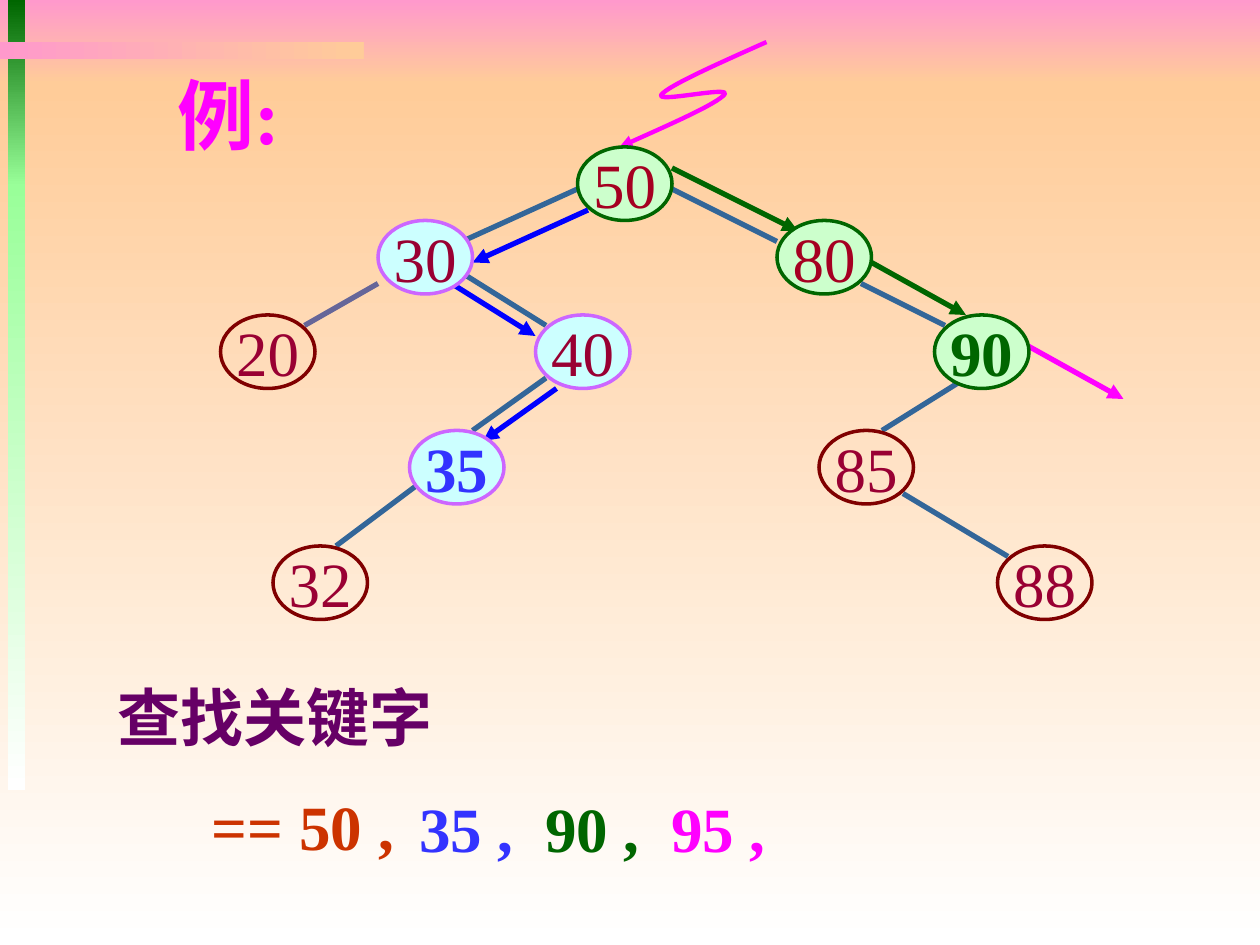
from lxml import etree
from pptx import Presentation
from pptx.dml.color import RGBColor
from pptx.enum.shapes import MSO_CONNECTOR, MSO_SHAPE
from pptx.enum.text import MSO_ANCHOR, MSO_AUTO_SIZE, PP_ALIGN
from pptx.oxml.ns import qn
from pptx.util import Emu, Pt

PX = 9525
STRAIGHT = MSO_CONNECTOR.STRAIGHT
OVAL, RECT = MSO_SHAPE.OVAL, MSO_SHAPE.RECTANGLE
MIDDLE, CENTER = MSO_ANCHOR.MIDDLE, PP_ALIGN.CENTER
FIT_SHAPE = MSO_AUTO_SIZE.SHAPE_TO_FIT_TEXT

COLORS = {
    "pink": "FF99CC", "peach": "FFCC99", "white": "FFFFFF", "green": "006600",
    "light green": "99FF99", "pale green": "CCFFCC", "pale cyan": "CCFFFF",
    "maroon": "800000", "wine": "990033", "crimson": "A50021", "violet": "CC66FF",
    "steel": "336699", "slate": "666699", "blue": "0000FF", "soft blue": "3333FF",
    "magenta": "FF00FF", "purple": "660066", "rust": "CC3300",
}

NODE_STYLES = {
    "plain": (None, "maroon", "wine"),
    "left path": ("pale cyan", "violet", "wine"),
    "right path": ("pale green", "green", "crimson"),
}
NODES = [
    ("20", 0, 128, "plain"), ("85", 456, 216, "plain"),
    ("88", 592, 304, "plain"), ("32", 40, 304, "plain"),
    ("30", 120, 56, "left path"), ("40", 240, 128, "left path"),
    ("35", 144, 216, "left path"), ("50", 272, 0, "right path"),
    ("80", 424, 56, "right path"), ("90", 544, 128, "right path"),
]
FOUND_COLORS = {"35": "soft blue", "90": "green"}
EDGES = [
    (272, 32, 184, 72, "steel"), (120, 104, 64, 136, "slate"),
    (344, 32, 424, 72, "steel"), (184, 96, 248, 136, "steel"),
    (248, 176, 192, 216, "steel"), (488, 104, 552, 136, "steel"),
    (568, 176, 504, 216, "steel"), (520, 264, 600, 312, "steel"),
    (152, 256, 88, 304, "steel"),
]
SEARCH_STEPS = [
    (280, 48, 192, 88, "blue"), (176, 104, 240, 144, "blue"),
    (256, 184, 200, 224, "blue"), (344, 16, 440, 64, "green"),
    (496, 88, 568, 128, "green"), (616, 152, 688, 192, "magenta"),
]
SQUIGGLE = [
    (112, 0), (74, 17), (38, 33), (32, 40), (26, 47),
    (86, 33), (80, 40), (74, 47), (38, 63), (0, 80),
]


def px(*lengths):
    """Turn px lengths into EMU."""
    return [Emu(length * PX) for length in lengths]


def rgb(color):
    """Look up a named colour."""
    return RGBColor.from_string(COLORS[color])


def assign(target, values):
    """Set every attribute named in a dict."""
    for name, value in values.items():
        setattr(target, name, value)


def style_line(line, color, width, arrow=False):
    """Colour a line and optionally give its end an arrowhead."""
    line.color.rgb = rgb(color)
    line.width = Pt(width)
    if arrow:
        etree.SubElement(line._get_or_add_ln(), qn("a:tailEnd"), type="triangle")


def write(frame, wording, color, size=36, bold=True, align=None, **layout):
    """Fill a text frame with one formatted line."""
    assign(frame, {"word_wrap": False, **layout})
    paragraph = frame.paragraphs[0]
    paragraph.alignment = align
    run = paragraph.add_run()
    run.text = wording
    assign(run.font, {"name": "Times New Roman", "size": Pt(size), "bold": bold})
    run.font.color.rgb = rgb(color)


def add_band(slide, box, start, end, angle=270):
    """Place a rectangle with a two-colour gradient."""
    band = slide.shapes.add_shape(RECT, *px(*box))
    band.shadow.inherit = False
    band.line.fill.background()
    band.fill.gradient()
    band.fill.gradient_angle = angle
    for stop, color, position in zip(band.fill.gradient_stops, (start, end), (0, 1)):
        stop.color.rgb = rgb(color)
        stop.position = position


def add_backdrop(slide, left, top, width, height):
    """Place the gradient background and its corner bars."""
    add_band(slide, (left, top, width, 64), "pink", "peach")
    add_band(slide, (left, top + 64, width, height - 64), "peach", "white")
    add_band(slide, (left + 6, top, 13, 142), "green", "light green")
    add_band(slide, (left + 6, top + 140, 13, 462), "light green", "white")
    add_band(slide, (left, top + 32, 277, 13), "pink", "peach", 0)


def add_link(slide, left, top, link, arrow=False):
    """Draw one tree edge or search step."""
    x1, y1, x2, y2, color = link
    connector = slide.shapes.add_connector(
        STRAIGHT, *px(left + x1, top + y1, left + x2, top + y2))
    style_line(connector.line, color, 3, arrow)
    etree.SubElement(connector._element.spPr, qn("a:effectLst"))


def add_node(slide, left, top, key, style):
    """Draw one key of the search tree."""
    fill, outline, ink = NODE_STYLES[style]
    node = slide.shapes.add_shape(OVAL, *px(left, top, 72, 56))
    node.shadow.inherit = False
    if fill:
        node.fill.solid()
        node.fill.fore_color.rgb = rgb(fill)
    else:
        node.fill.background()
    style_line(node.line, outline, 2)
    write(node.text_frame, key, FOUND_COLORS.get(key, ink), bold=key in FOUND_COLORS,
          align=CENTER, vertical_anchor=MIDDLE)


def add_tree(slide, left, top):
    """Draw the binary search tree with its search paths."""
    for edge in EDGES:
        add_link(slide, left, top, edge)
    for step in SEARCH_STEPS:
        add_link(slide, left, top, step, arrow=True)
    for key, x, y, style in NODES:
        add_node(slide, left + x, top + y, key, style)


def add_root_pointer(slide, left, top):
    """Draw the curved arrow that leads to the root."""
    start, *bends = [px(left + x, top + y) for x, y in SQUIGGLE]
    builder = slide.shapes.build_freeform(*start)
    builder.add_line_segments(bends, close=False)
    pointer = builder.convert_to_shape()
    pointer.shadow.inherit = False
    pointer.fill.background()
    style_line(pointer.line, "magenta", 2.5, arrow=True)
    outline = pointer._element.spPr.find(".//" + qn("a:path"))
    segments = iter(outline.findall(qn("a:lnTo")))
    for triple in zip(segments, segments, segments):
        curve = etree.SubElement(outline, qn("a:cubicBezTo"))
        for segment in triple:
            curve.append(segment[0])
            outline.remove(segment)


def add_caption(slide, box, wording, color, size=36):
    """Place one bold caption."""
    caption = slide.shapes.add_textbox(*px(*box))
    write(caption.text_frame, wording, color, size, auto_size=FIT_SHAPE)


def add_search_keys(slide, left, top):
    """Place the heading and the row of searched keys."""
    add_caption(slide, (left, top, 261, 67), "查找关键字", "purple")
    add_caption(slide, (left + 72, top + 83, 158, 67), "== 50 ,", "rust")
    later_keys = [("35 ,", "soft blue"), ("90 ,", "green"), ("95 ,", "magenta")]
    for index, (key, color) in enumerate(later_keys):
        add_caption(slide, (left + 230 + 96 * index, top + 85, 91, 67), key, color)


def main():
    """Build and save the slide."""
    deck = Presentation()
    deck.slide_width, deck.slide_height = px(960, 720)
    slide = deck.slides.add_slide(deck.slide_layouts[6])
    add_backdrop(slide, 0, 0, 960, 720)
    add_caption(slide, (126, 47, 99, 81), "例:", "magenta", 44)
    add_root_pointer(slide, 472, 32)
    add_tree(slide, 168, 112)
    add_search_keys(slide, 80, 512)
    deck.save("out.pptx")


if __name__ == "__main__":
    main()
